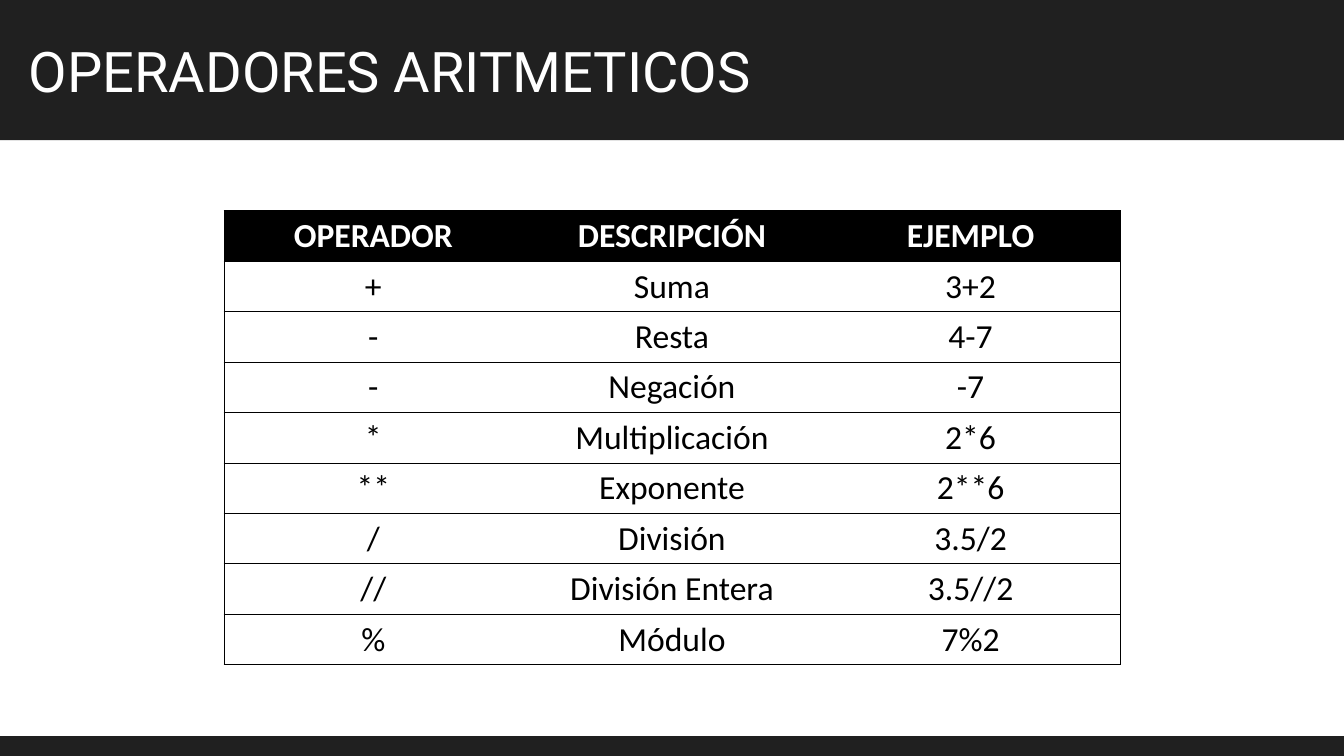
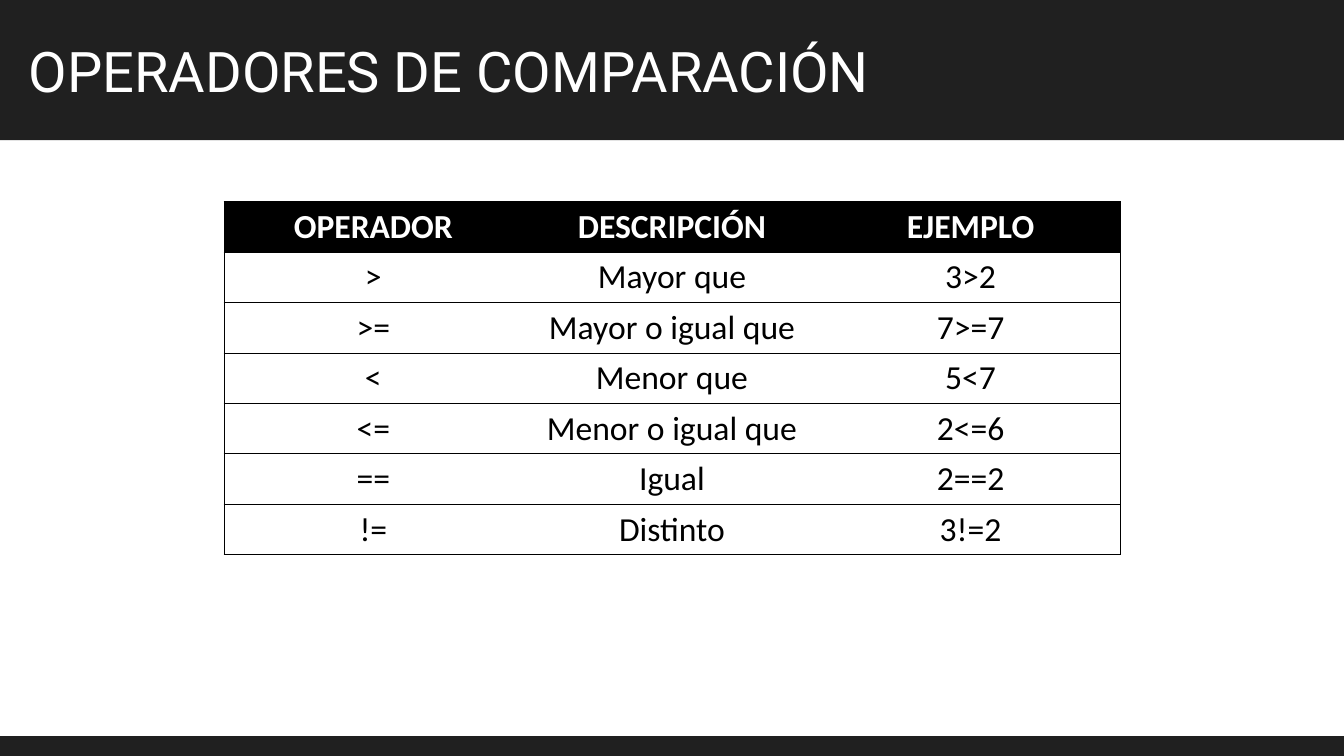
from lxml.etree import SubElement
from pptx import Presentation
from pptx.dml.color import RGBColor
from pptx.enum.shapes import MSO_SHAPE as SHAPE
from pptx.enum.text import MSO_ANCHOR as ANCHOR, MSO_AUTO_SIZE as FIT, PP_ALIGN as ALIGN
from pptx.oxml.ns import qn
from pptx.util import Cm, Pt

BLACK = RGBColor(0x00, 0x00, 0x00)
WHITE = RGBColor(0xFF, 0xFF, 0xFF)
DARK = RGBColor(0x20, 0x20, 0x20)

WIDTH, HEIGHT = 33.87, 19.05
HEADER_H, FOOTER_H = 3.53, 0.5
TABLE_W, ROW_H = 22.58, 1.27


class Deck:
    """Shared style and the slide being built; lengths in centimetres."""
    title_font, body_font = "Roboto", "Calibri"
    title_size, body_size = 40, 24

    def __init__(self):
        self.prs = Presentation()
        self.prs.slide_width, self.prs.slide_height = Cm(WIDTH), Cm(HEIGHT)

    def slide(self, title):
        self.s = self.prs.slides.add_slide(self.prs.slide_layouts[6])
        self.band(0, HEADER_H)
        self.band(HEIGHT - FOOTER_H, FOOTER_H)
        self.title(title)

    def band(self, top, height):
        sp = self.s.shapes.add_shape(SHAPE.RECTANGLE, 0, Cm(top), Cm(WIDTH), Cm(height))
        sp.shadow.inherit = False
        sp.fill.solid()
        sp.fill.fore_color.rgb = DARK
        sp.line.fill.background()

    def run(self, p, text, font, size, color, bold=False):
        r = p.add_run()
        r.text = text
        r.font.name, r.font.size, r.font.bold = font, Pt(size), bold
        r.font.color.rgb = color

    def title(self, text):
        tf = self.s.shapes.add_textbox(Cm(0.48), Cm(0.79), Cm(22.6), Cm(1.96)).text_frame
        tf.word_wrap = True
        tf.auto_size = FIT.SHAPE_TO_FIT_TEXT
        self.run(tf.paragraphs[0], text, self.title_font, self.title_size, WHITE)

    def borders(self, cell, visible):
        """Draw the named sides; hide the others."""
        tc_pr = cell._tc.get_or_add_tcPr()
        for side in "LRTB":
            ln = SubElement(tc_pr, qn(f"a:ln{side}"), w=str(Pt(0.5)))
            if side in visible:
                fill = SubElement(ln, qn("a:solidFill"))
                SubElement(fill, qn("a:srgbClr"), val=str(BLACK))
            else:
                SubElement(ln, qn("a:noFill"))

    def table(self, top, rows):
        n_rows, n_cols = len(rows), len(rows[0])
        table = self.s.shapes.add_table(n_rows, n_cols, Cm((WIDTH - TABLE_W) / 2), Cm(top),
                                        Cm(TABLE_W), Cm(n_rows * ROW_H)).table
        for i, row in enumerate(rows):
            header = i == 0
            for j, text in enumerate(row):
                cell = table.cell(i, j)
                # Horizontal rules everywhere, vertical ones only on the outside
                self.borders(cell, "TB" + "L" * (j == 0) + "R" * (j == n_cols - 1))
                cell.fill.solid()
                cell.fill.fore_color.rgb = BLACK if header else WHITE
                cell.vertical_anchor = ANCHOR.TOP
                p = cell.text_frame.paragraphs[0]
                p.alignment = ALIGN.CENTER
                self.run(p, text, self.body_font, self.body_size,
                         WHITE if header else BLACK, header)


HEADINGS = ("OPERADOR", "DESCRIPCIÓN", "EJEMPLO")
deck = Deck()

# Arithmetic operators
deck.slide("OPERADORES ARITMETICOS")
deck.table(5.31, [
    HEADINGS,
    ("+", "Suma", "3+2"),
    ("-", "Resta", "4-7"),
    ("-", "Negación", "-7"),
    ("*", "Multiplicación", "2*6"),
    ("**", "Exponente", "2**6"),
    ("/", "División", "3.5/2"),
    ("//", "División Entera", "3.5//2"),
    ("%", "Módulo", "7%2"),
])

# Comparison operators
deck.slide("OPERADORES DE COMPARACIÓN")
deck.table(5.08, [
    HEADINGS,
    (">", "Mayor que", "3>2"),
    (">=", "Mayor o igual que", "7>=7"),
    ("<", "Menor que", "5<7"),
    ("<=", "Menor o igual que", "2<=6"),
    ("==", "Igual", "2==2"),
    ("!=", "Distinto", "3!=2"),
])

deck.prs.save("out.pptx")
